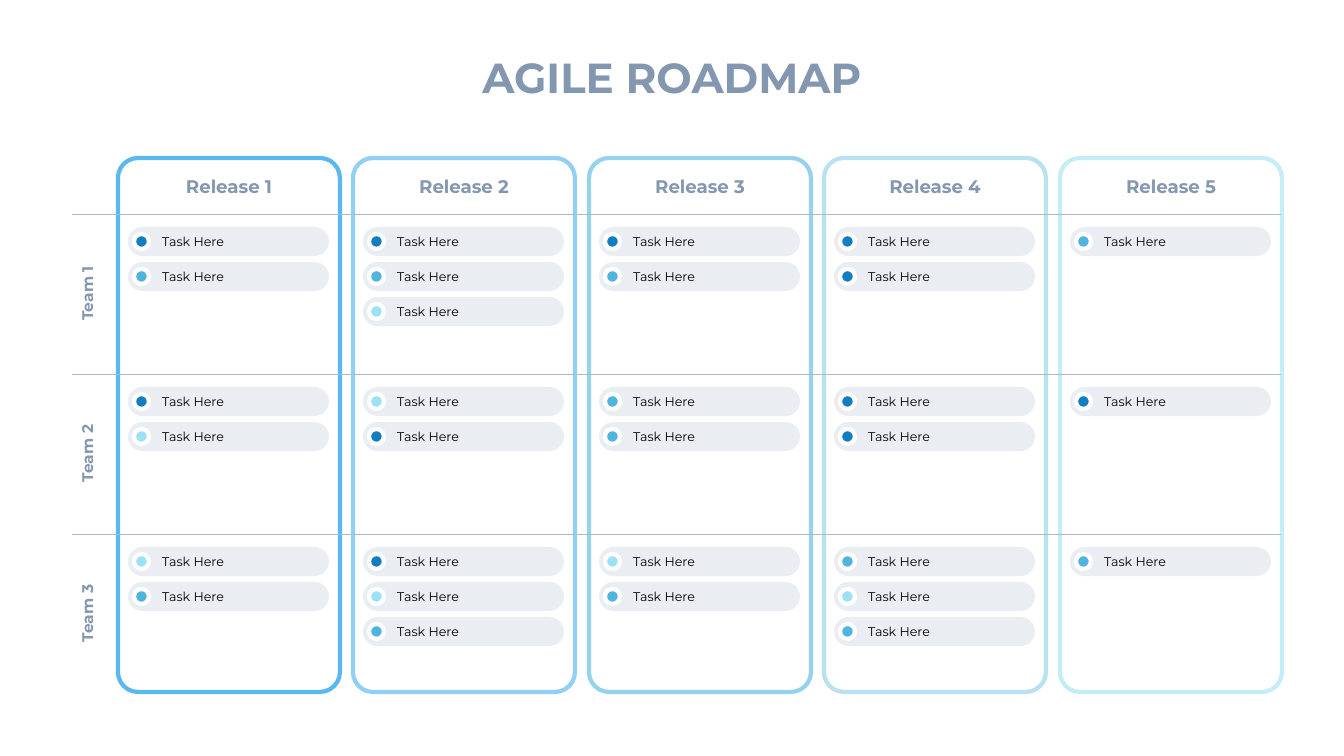
from lxml import etree
from pptx import Presentation
from pptx.dml.color import RGBColor
from pptx.enum.shapes import MSO_CONNECTOR, MSO_SHAPE
from pptx.enum.text import MSO_ANCHOR, MSO_AUTO_SIZE, PP_ALIGN
from pptx.oxml.ns import qn
from pptx.util import Emu, Pt

ROUND = MSO_SHAPE.ROUNDED_RECTANGLE
STRAIGHT = MSO_CONNECTOR.STRAIGHT
MIDDLE = MSO_ANCHOR.MIDDLE
GROW = MSO_AUTO_SIZE.SHAPE_TO_FIT_TEXT
LEFT, CENTER = PP_ALIGN.LEFT, PP_ALIGN.CENTER
WIDE, HIGH = 1344, 756
SCALE = 12192000 / WIDE


def px(n):
    return Emu(round(n * SCALE))


def color(code):
    return RGBColor.from_string(code)


class Board:
    face = "Montserrat"
    slate, deep, rule = "8497B0", "44546A", "ADB9CA"
    pill, ink, white = "D6DCE5", "000000", "FFFFFF"

    def __init__(self, slide):
        self.slide = slide

    def text(self, shape, words, size, code, bold=False, align=CENTER,
             inset=(10, 5, 10, 5), wrap=False):
        frame = shape.text_frame
        sides = ("margin_left", "margin_top", "margin_right", "margin_bottom")
        look = dict(zip(sides, map(px, inset)))
        look.update(word_wrap=wrap, vertical_anchor=MIDDLE)
        for name, value in look.items():
            setattr(frame, name, value)
        part = frame.paragraphs[0]
        part.alignment = align
        run = part.add_run()
        run.text = words
        for name, value in dict(name=self.face, size=Pt(size), bold=bold).items():
            setattr(run.font, name, value)
        run.font.color.rgb = color(code)
        return run.font

    def label(self, box, words, size, turn=0, inset=(10, 5, 10, 5)):
        shape = self.slide.shapes.add_textbox(*map(px, box))
        shape.rotation = turn
        font = self.text(shape, words, size, self.slate, True, inset=inset)
        shape.text_frame.auto_size = GROW
        return font

    def title(self, box, words):
        fill = self.label(box, words, 30, inset=(20, 10, 20, 10)).fill
        fill.gradient()
        fill.gradient_angle = 270
        for stop, code in zip(fill.gradient_stops, (self.slate, self.deep)):
            stop.color.rgb = color(code)

    def round(self, box, curve, fill=None, line=None):
        shape = self.slide.shapes.add_shape(ROUND, *map(px, box))
        shape.shadow.inherit = False
        shape.adjustments[0] = curve
        if fill:
            shape.fill.solid()
            shape.fill.fore_color.rgb = color(fill)
        else:
            shape.fill.background()
        if line:
            shape.line.color.rgb = color(line)
            shape.line.width = Pt(3)
        else:
            shape.line.fill.background()
        return shape

    def task(self, x, y, words, dot):
        shape = self.round((x, y, 201, 29), 0.5, self.pill)
        tint = shape.element.spPr.find(qn("a:solidFill"))[0]
        etree.SubElement(tint, qn("a:alpha")).set("val", "50000")
        self.text(shape, words, 9, self.ink, align=LEFT,
                  inset=(30, 5, 10, 5), wrap=True)
        self.round((x + 6, y + 7, 15, 15), 0.5, dot, self.white)

    def line(self, x, y, end):
        wire = self.slide.shapes.add_connector(STRAIGHT, *map(px, (x, y, end, y)))
        wire.line.color.rgb = color(self.rule)
        wire.line.width = Pt(0.25)
        etree.SubElement(wire.element.spPr, qn("a:effectLst"))


FRAMES = ("5AB7F0", "91CFF5", "95D2EB", "B9E1F2", "C4EDF8")
DOTS = {"D": "127EC0", "M": "4FB4DE", "L": "9DE1F4"}
# One row per team, one word per release, one letter per task
TASKS = ("DM DML DM DD M", "DL LD MM DD D", "LM DLM LM MLM M")


def main():
    deck = Presentation()
    deck.slide_width, deck.slide_height = px(WIDE), px(HIGH)
    board = Board(deck.slides.add_slide(deck.slide_layouts[6]))
    lefts = [118 + 471 * i // 2 for i in range(len(FRAMES))]
    tops = [214 + 160 * i for i in range(len(TASKS))]

    # Title
    board.title((460, 41, 424, 72), "AGILE ROADMAP")

    # Release columns
    for i, (x, code) in enumerate(zip(lefts, FRAMES), 1):
        board.round((x, 158, 222, 534), 0.09, line=code)
        board.label((x + 55, 170, 112, 32), f"Release {i}", 13)

    # Team rows with their tasks
    for i, (y, row) in enumerate(zip(tops, TASKS), 1):
        board.line(72, y, 1281)
        board.label((47, y + 65, 80, 29), f"Team {i}", 11, 270)
        for x, marks in zip(lefts, row.split()):
            for n, mark in enumerate(marks):
                board.task(x + 10, y + 13 + 35 * n, "Task Here", DOTS[mark])

    deck.save("out.pptx")


if __name__ == "__main__":
    main()
